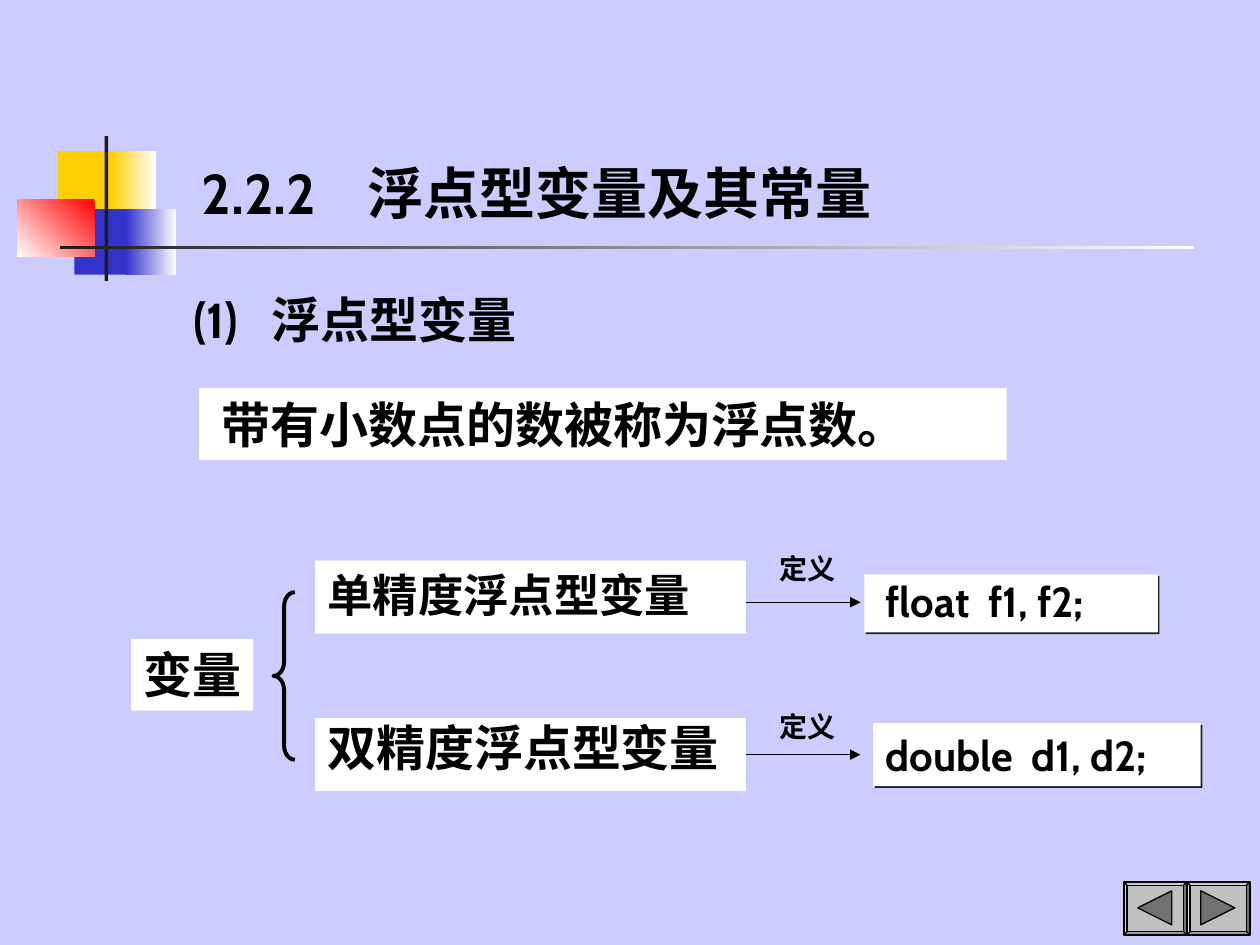
"""Build the slide on floating-point variables and their definitions."""
from lxml.etree import SubElement
from pptx import Presentation
from pptx.dml.color import RGBColor
from pptx.enum.shapes import MSO_CONNECTOR as Link, MSO_SHAPE as Shape
from pptx.enum.text import MSO_ANCHOR as Anchor
from pptx.oxml.ns import qn
from pptx.util import Inches, Pt

COLORS = {
    "lavender": "CCCCFF", "yellow": "FFCF01", "blue": "3333CC", "red": "FF0000",
    "dark": "1C1C1C", "white": "FFFFFF", "black": "000000",
    "silver": "C0C0C0", "gray": "727272",
}
RGB = {name: RGBColor.from_string(value) for name, value in COLORS.items()}

deck = Presentation()
deck.slide_width, deck.slide_height = Inches(10), Inches(7.5)
slide = deck.slides.add_slide(deck.slide_layouts[6])
slide.background.fill.solid()
slide.background.fill.fore_color.rgb = RGB["lavender"]


def add_block(kind, box, colors, angle=180, outline=None):
    block = slide.shapes.add_shape(kind, *map(Inches, box))
    block.shadow.inherit = False
    if len(colors) == 2:
        block.fill.gradient()
        block.fill.gradient_angle = angle
        for stop, color, position in zip(block.fill.gradient_stops, colors, (0, 1)):
            stop.color.rgb = RGB[color]
            stop.position = position
    elif colors:
        block.fill.solid()
        block.fill.fore_color.rgb = RGB[colors[0]]
    else:
        block.fill.background()
    if outline:
        block.line.color.rgb = RGB["black"]
        block.line.width = Pt(outline)
    else:
        block.line.fill.background()
    return block


def add_label(text, box, size, fill=None, left=0.1, tab=None, spacing=None, **frame_format):
    if fill:
        label = add_block(Shape.RECTANGLE, box, [fill])
    else:
        label = slide.shapes.add_textbox(*map(Inches, box))
    frame = label.text_frame
    settings = {"word_wrap": True, "vertical_anchor": Anchor.TOP,
                "margin_left": Inches(left), "margin_right": Inches(0.1),
                "margin_top": Inches(0.05), "margin_bottom": Inches(0.05)}
    for name, value in (settings | frame_format).items():
        setattr(frame, name, value)
    line = frame.paragraphs[0]
    line.alignment = 1
    line.line_spacing = spacing
    if tab:
        stops = SubElement(line._p.get_or_add_pPr(), qn("a:tabLst"))
        SubElement(stops, qn("a:tab"), pos=str(Inches(tab)), algn="l")
    words = line.add_run()
    words.text = text
    for name, value in {"name": "Cabin", "size": Pt(size), "bold": True}.items():
        setattr(words.font, name, value)
    words.font.color.rgb = RGB["black"]
    return label


for box, colors, angle in [
    ((0.46, 1.2, 0.48, 0.52), ["yellow"], 0),
    ((0.88, 1.2, 0.36, 0.52), ["white", "yellow"], 180),
    ((0.59, 1.66, 0.46, 0.52), ["blue"], 0),
    ((1, 1.66, 0.4, 0.52), ["white", "blue"], 180),
    ((0.14, 1.58, 0.61, 0.46), ["red", "white"], 225),
    ((0.83, 1.08, 0.03, 1.15), ["dark"], 0),
    ((0.48, 1.95, 9, 0.03), ["white", "dark"], 180),
]:
    add_block(Shape.RECTANGLE, box, colors, angle)

add_label("2.2.2\t浮点型变量及其常量", (1.5, 1.17, 6.08, 0.67), 32, tab=1.32,
          vertical_anchor=Anchor.BOTTOM)
add_label("(1)\t浮点型变量", (1.44, 2.25, 2.93, 0.57), 28, tab=0.62)
add_label("带有小数点的数被称为浮点数。", (1.58, 3.08, 6.41, 0.57), 28, "white", left=0.18)
add_label("变量", (1.04, 5.07, 0.97, 0.57), 28, "white", word_wrap=False)

brace = add_block(Shape.LEFT_BRACE, (2.17, 4.7, 0.17, 1.33), [], outline=2.25)
brace.adjustments[0] = 0.66

for precision, top, size, spacing, arrow_y, note_top, code, code_box, code_left, code_spacing in [
    ("单精度浮点型变量", 4.45, 25.9, None, 4.78, 4.33,
     "float  f1, f2;", (6.86, 4.56, 2.33, 0.46), 0.17, 0.9),
    ("双精度浮点型变量", 5.7, 28, 0.9, 5.99, 5.58,
     "double  d1, d2;", (6.93, 5.74, 2.6, 0.5), 0.1, None),
]:
    variable = add_label(precision, (2.5, top, 3.42, 0.58), size, "white", spacing=spacing)
    add_label("定义", (6.09, note_top, 0.64, 0.37), 16, word_wrap=False)
    definition = add_label(code, code_box, 24, "white", left=code_left, spacing=code_spacing)
    effects = definition._element.spPr.find(qn("a:effectLst"))
    shadow = SubElement(effects, qn("a:outerShdw"), blurRad="0", dist=str(Pt(1.4)),
                        dir="2700000", algn="ctr", rotWithShape="0")
    SubElement(shadow, qn("a:srgbClr"), val=COLORS["dark"])

    arrow = slide.shapes.add_connector(
        Link.STRAIGHT, *map(Inches, (5.92, arrow_y, 6.83, arrow_y)))
    if variable.top + variable.height // 2 == Inches(arrow_y):
        arrow.begin_connect(variable, 3)
    arrow.line.color.rgb = RGB["black"]
    arrow.line.width = Pt(0.75)
    SubElement(arrow.line._get_or_add_ln(), qn("a:tailEnd"), type="triangle")
    SubElement(arrow._element.spPr, qn("a:effectLst"))

for left, turn in [(8.92, -90), (9.42, 90)]:
    button = add_block(Shape.BEVEL, (left, 7, 0.5, 0.42), ["silver"], outline=0.75)
    button.adjustments[0] = 0.06
    pointer = add_block(Shape.ISOSCELES_TRIANGLE, (left + 0.11, 7.07, 0.27, 0.27),
                        ["gray"], outline=0.75)
    pointer.rotation = turn

deck.save("out.pptx")
